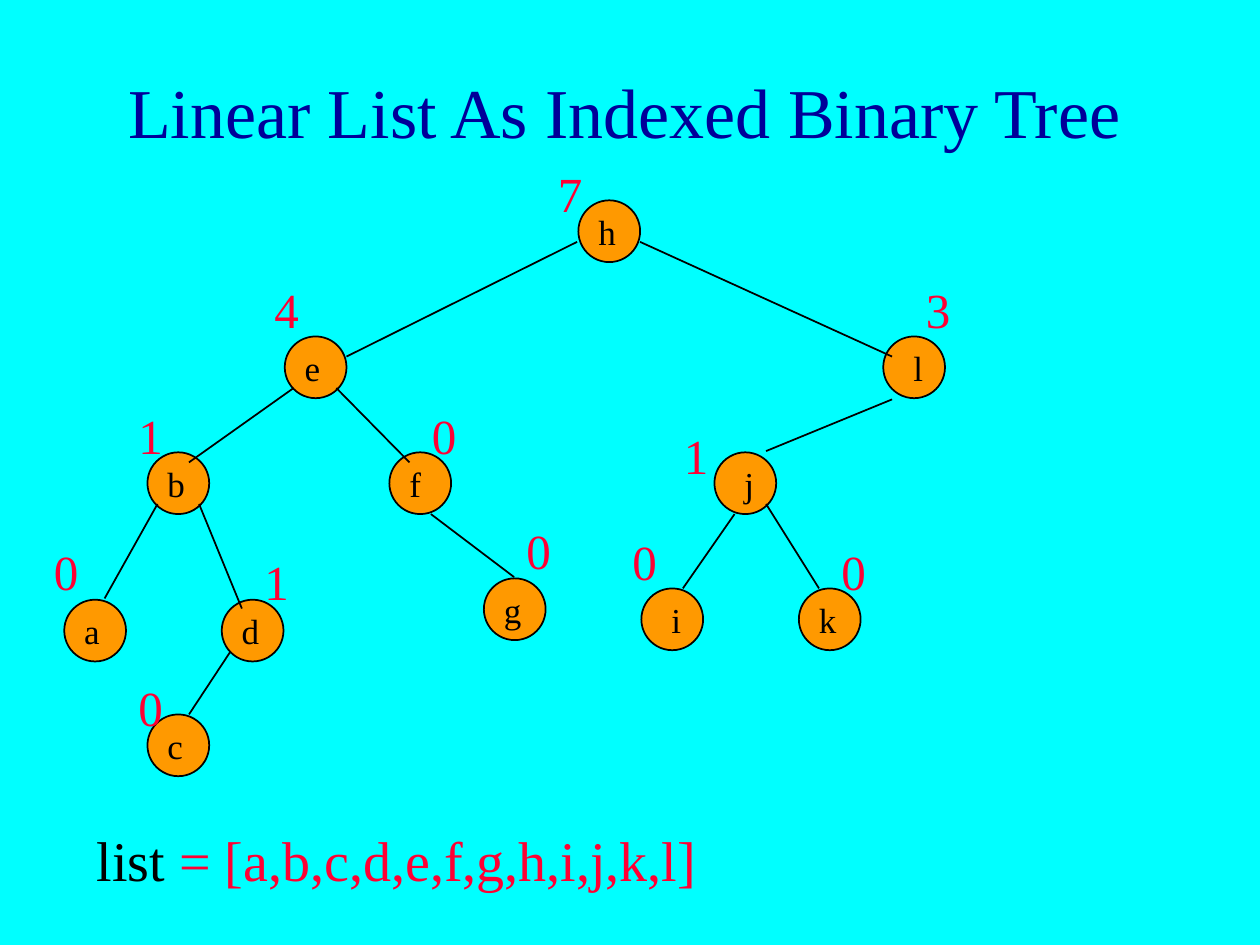
from lxml import etree
from pptx import Presentation
from pptx.dml.color import RGBColor
from pptx.enum.shapes import MSO_CONNECTOR, MSO_SHAPE
from pptx.enum.text import MSO_ANCHOR, MSO_AUTO_SIZE, PP_ALIGN
from pptx.oxml.ns import qn
from pptx.util import Inches, Pt

OVAL = MSO_SHAPE.OVAL
LINE = MSO_CONNECTOR.STRAIGHT
MIDDLE = MSO_ANCHOR.MIDDLE
CENTER = PP_ALIGN.CENTER
LEFT = PP_ALIGN.LEFT
GROW = MSO_AUTO_SIZE.SHAPE_TO_FIT_TEXT
FIXED = MSO_AUTO_SIZE.NONE

CYAN = RGBColor(0x00, 0xFF, 0xFF)
NAVY = RGBColor(0x00, 0x00, 0x99)
ORANGE = RGBColor(0xFF, 0x99, 0x00)
BLACK = RGBColor(0x00, 0x00, 0x00)
RED = RGBColor(0xFF, 0x00, 0x33)

FACE = "Times New Roman"
SIZE = 0.49


def write(frame, parts, size, align=LEFT, **form):
    """Fill a text frame with (text, colour) parts."""
    for key, value in form.items():
        setattr(frame, key, value)
    para = frame.paragraphs[0]
    para.alignment = align
    for text, color in parts:
        run = para.add_run()
        run.text = text
        run.font.name = FACE
        run.font.size = Pt(size)
        run.font.color.rgb = color
    return para


def label(x, y, w, h, parts, size, wrap=True):
    """Add a text box that grows with its text."""
    box = slide.shapes.add_textbox(Inches(x), Inches(y), Inches(w), Inches(h))
    return write(box.text_frame, parts, size, word_wrap=wrap, auto_size=GROW)


deck = Presentation()
deck.slide_width = Inches(10)
deck.slide_height = Inches(7.5)
slide = deck.slides.add_slide(deck.slide_layouts[5])
slide.background.fill.solid()
slide.background.fill.fore_color.rgb = CYAN

# Title
title = slide.shapes.title
title.left, title.top = Inches(0.08), Inches(0.25)
title.width, title.height = Inches(9.75), Inches(1.25)
write(title.text_frame, [("Linear List As Indexed Binary Tree", NAVY)], 40, CENTER,
      vertical_anchor=MIDDLE, word_wrap=True, auto_size=FIXED)

# Tree nodes: letter, left, top, index value, value left, value top
nodes = [
    ("h", 4.59, 1.59, "7", 4.33, 1.25),
    ("e", 2.26, 2.67, "4", 2.08, 2.17),
    ("l", 7.01, 2.67, "3", 7.25, 2.17),
    ("b", 1.17, 3.59, "1", 1.00, 3.17),
    ("f", 3.09, 3.59, "0", 3.33, 3.17),
    ("j", 5.67, 3.59, "1", 5.33, 3.33),
    ("a", 0.51, 4.76, "0", 0.33, 4.25),
    ("d", 1.76, 4.76, "1", 2.00, 4.33),
    ("g", 3.84, 4.59, "0", 4.08, 4.08),
    ("i", 5.09, 4.67, "0", 4.92, 4.17),
    ("k", 6.34, 4.67, "0", 6.58, 4.25),
    ("c", 1.17, 5.67, "0", 1.00, 5.33),
]
for _, x, y, *_ in nodes:
    node = slide.shapes.add_shape(OVAL, Inches(x), Inches(y), Inches(SIZE), Inches(SIZE))
    node.shadow.inherit = False
    node.fill.solid()
    node.fill.fore_color.rgb = ORANGE
    node.line.color.rgb = BLACK
    node.line.width = Pt(1)

# Edges from parent to child
edges = [
    (4.58, 1.92, 2.75, 2.83),  # h-e
    (5.08, 1.92, 7.08, 2.83),  # h-l
    (2.33, 3.08, 1.50, 3.67),  # e-b
    (2.67, 3.08, 3.25, 3.67),  # e-f
    (7.08, 3.17, 6.08, 3.58),  # l-j
    (1.25, 4.00, 0.83, 4.75),  # b-a
    (1.58, 4.00, 1.92, 4.83),  # b-d
    (3.42, 4.08, 4.08, 4.58),  # f-g
    (5.83, 4.08, 5.42, 4.67),  # j-i
    (6.08, 4.00, 6.50, 4.67),  # j-k
    (1.83, 5.17, 1.50, 5.67),  # d-c
]
for ends in edges:
    edge = slide.shapes.add_connector(LINE, *[Inches(n) for n in ends])
    edge.line.color.rgb = BLACK
    edge.line.width = Pt(1)
    etree.SubElement(edge._element.spPr, qn("a:effectLst"))

# Letters and index values; narrow letters sit further right
widths = {"a": 0.33, "c": 0.33, "e": 0.33, "f": 0.29, "i": 0.28, "j": 0.28, "l": 0.28}
for name, x, y, value, left, top in nodes:
    shift = 0.14 if name in "ijl" else 0.06
    label(x + shift, y + 0.03, widths.get(name, 0.34), 0.43, [(name, BLACK)], 20, False)
    label(left, top, 0.25, 0.57, [(value, RED)], 28).space_before = Pt(17.5)

# List in order
parts = [("list", BLACK), (" = [a,b,c,d,e,f,g,h,i,j,k,l]", RED)]
label(0.67, 6.5, 8.75, 0.63, parts, 32).space_before = Pt(20)

deck.save("out.pptx")
